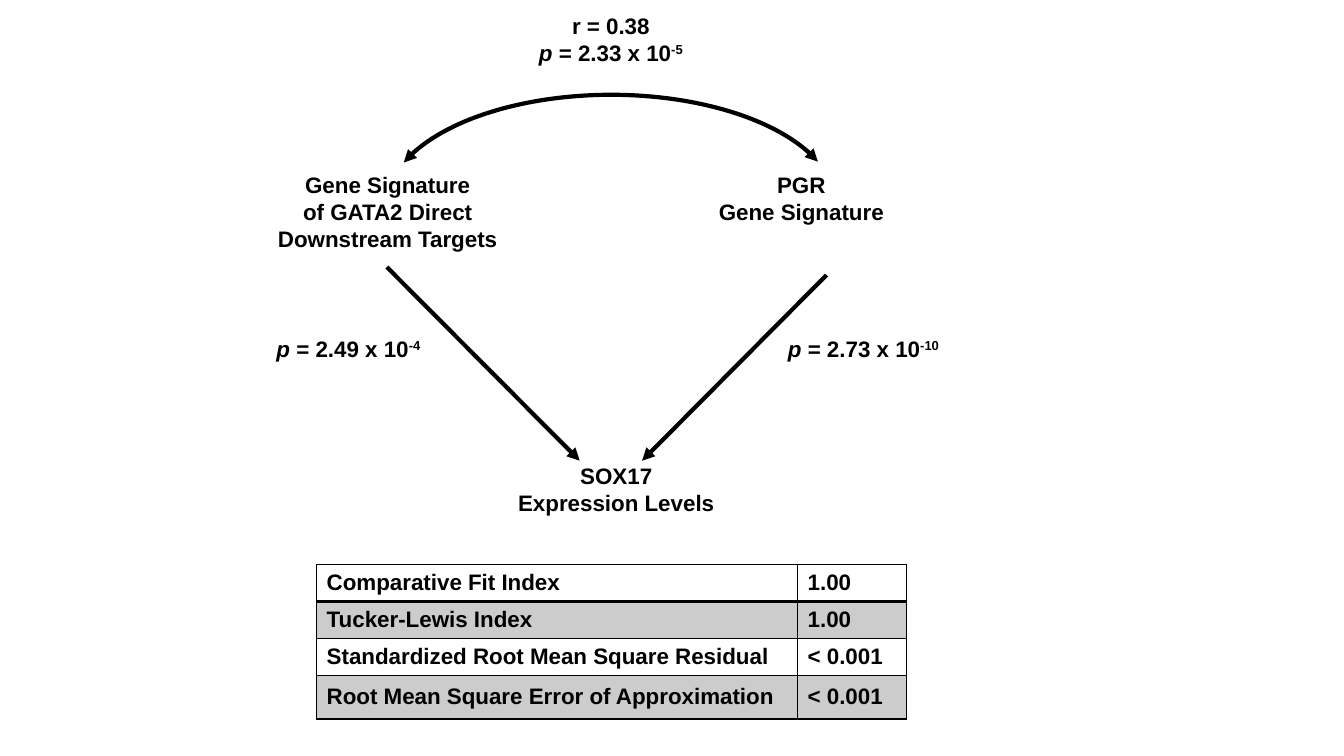
"""Build the slide of the path model linking GATA2, PGR and SOX17."""
from dataclasses import dataclass

from pptx import Presentation
from pptx import util as u
from pptx.dml.color import RGBColor
from pptx.enum import shapes, text
from pptx.oxml.ns import qn
from lxml import etree

COLOURS = {"ink": "000000", "paper": "FFFFFF"}
TEXT_SIZE = 16
ARROW_WIDTH = 3
ROW_HEIGHT, LAST_ROW_HEIGHT = 0.93, 1.1
COLUMN_WIDTHS = (12.12, 2.74)
SHADE_ALPHA = 20
ADJUSTMENT_PER_DEGREE = 0.6


@dataclass(frozen=True)
class Part:
    """A stretch of text with one format."""
    wording: str
    italic: bool = False
    raised: bool = False


@dataclass(frozen=True)
class Label:
    """A centred text block; lengths in centimetres."""
    left: float
    top: float
    width: float
    height: float
    lines: tuple


@dataclass(frozen=True)
class Effect:
    """A straight arrow from a predictor to the outcome."""
    start: tuple[float, float]
    end: tuple[float, float]


def plain(*lines: str) -> tuple:
    """Return lines that each hold one plain part."""
    return tuple((Part(line),) for line in lines)


def p_value(factor: str, exponent: str) -> tuple:
    """Return the parts of a p-value in scientific notation."""
    return (Part("p", italic=True), Part(f" = {factor} x 10"), Part(exponent, raised=True))


LABELS = (
    Label(17.78, 4.19, 4.83, 1.63, plain("PGR", "Gene Signature")),
    Label(5.87, 4.19, 7.8, 2.31,
          plain("Gene Signature", "of GATA2 Direct", "Downstream Targets")),
    Label(12.29, 11.53, 6.48, 1.63, plain("SOX17", "Expression Levels")),
    Label(12.98, 0.18, 4.83, 1.63, plain("r = 0.38") + (p_value("2.33", "-5"),)),
    Label(19.41, 8.31, 4.7, 0.94, (p_value("2.73", "-10"),)),
    Label(6.43, 8.31, 4.7, 0.94, (p_value("2.49", "-4"),)),
)
EFFECTS = (
    Effect((9.75, 6.73), (14.61, 11.61)),
    Effect((20.83, 6.93), (16.18, 11.61)),
)
FIT_INDICES = (
    ("Comparative Fit Index", "1.00"),
    ("Tucker-Lewis Index", "1.00"),
    ("Standardized Root Mean Square Residual", "< 0.001"),
    ("Root Mean Square Error of Approximation", "< 0.001"),
)


def colour(name: str) -> RGBColor:
    """Return a named colour."""
    return RGBColor.from_string(COLOURS[name])


def write(paragraph, wording: str, *, italic: bool = False, raised: bool = False) -> None:
    """Add a formatted run to a paragraph."""
    run = paragraph.add_run()
    run.text = wording
    run.font.name = "Arial"
    run.font.size = u.Pt(TEXT_SIZE)
    run.font.bold = True
    run.font.italic = italic
    run.font.color.rgb = colour("ink")
    if raised:
        run.font._element.set("baseline", "30000")


def draw_label(slide, label: Label) -> None:
    """Draw a text block on a paper-coloured ground."""
    box = slide.shapes.add_textbox(u.Cm(label.left), u.Cm(label.top),
                                   u.Cm(label.width), u.Cm(label.height))
    box.fill.solid()
    box.fill.fore_color.rgb = colour("paper")
    frame = box.text_frame
    frame.word_wrap = True
    frame.auto_size = text.MSO_AUTO_SIZE.SHAPE_TO_FIT_TEXT
    for number, line in enumerate(label.lines):
        paragraph = frame.add_paragraph() if number else frame.paragraphs[0]
        paragraph.alignment = text.PP_ALIGN.CENTER
        for part in line:
            write(paragraph, part.wording, italic=part.italic, raised=part.raised)


def style_arrow(line, *ends: str) -> None:
    """Format a line and put triangles on the given ends."""
    line.color.rgb = colour("ink")
    line.width = u.Pt(ARROW_WIDTH)
    for end in ends:
        etree.SubElement(line._get_or_add_ln(), qn(f"a:{end}"), type="triangle")


def draw_effect(slide, effect: Effect) -> None:
    """Draw a straight arrow."""
    arrow = slide.shapes.add_connector(shapes.MSO_CONNECTOR.STRAIGHT,
                                       *map(u.Cm, effect.start + effect.end))
    style_arrow(arrow.line, "tailEnd")
    etree.SubElement(arrow._element.spPr, qn("a:effectLst"))


def draw_correlation(slide) -> None:
    """Draw the double-headed arc between the two signatures."""
    arc = slide.shapes.add_shape(shapes.MSO_SHAPE.ARC, u.Cm(9.73), u.Cm(2.39),
                                 u.Cm(11.35), u.Cm(5.59))
    for number, degrees in enumerate((191.75, 347.97)):
        arc.adjustments[number] = degrees * ADJUSTMENT_PER_DEGREE
    arc.fill.background()
    arc.shadow.inherit = False
    style_arrow(arc.line, "headEnd", "tailEnd")


def add_border(cell, side: str, points: float) -> None:
    """Add a solid border to one side of a cell."""
    border = etree.SubElement(cell._tc.get_or_add_tcPr(), qn(f"a:ln{side}"),
                              w=str(u.Pt(points)))
    fill = etree.SubElement(border, qn("a:solidFill"))
    etree.SubElement(fill, qn("a:srgbClr"), val=COLOURS["ink"])


def shade(cell) -> None:
    """Fill a cell with translucent ink."""
    cell.fill.solid()
    cell.fill.fore_color.rgb = colour("ink")
    ink = cell._tc.tcPr.find(f"{qn('a:solidFill')}/{qn('a:srgbClr')}")
    etree.SubElement(ink, qn("a:alpha"), val=str(SHADE_ALPHA * 1000))


def draw_fit_table(slide) -> None:
    """Draw the table of model fit indices."""
    heights = [ROW_HEIGHT] * (len(FIT_INDICES) - 1) + [LAST_ROW_HEIGHT]
    table = slide.shapes.add_table(len(FIT_INDICES), len(COLUMN_WIDTHS), u.Cm(7.98), u.Cm(14.22),
                                   u.Cm(sum(COLUMN_WIDTHS)), u.Cm(sum(heights))).table
    table.first_row = table.horz_banding = False
    for column, width in zip(table.columns, COLUMN_WIDTHS):
        column.width = u.Cm(width)
    for number, (row, height, entries) in enumerate(zip(table.rows, heights, FIT_INDICES)):
        row.height = u.Cm(height)
        widths = {"L": 1, "R": 1, "T": 2 if number == 1 else 1, "B": 2 if number == 0 else 1}
        for cell, entry in zip(row.cells, entries):
            cell.vertical_anchor = text.MSO_ANCHOR.MIDDLE
            write(cell.text_frame.paragraphs[0], entry)
            for side, points in widths.items():
                add_border(cell, side, points)
            if number % 2:
                shade(cell)
            else:
                cell.fill.background()


def main() -> None:
    """Build and save the slide."""
    deck = Presentation()
    deck.slide_width, deck.slide_height = u.Cm(33.87), u.Cm(19.05)
    slide = deck.slides.add_slide(deck.slide_layouts.get_by_name("Blank"))
    for label in LABELS:
        draw_label(slide, label)
    draw_fit_table(slide)
    for effect in EFFECTS:
        draw_effect(slide, effect)
    draw_correlation(slide)
    deck.save("out.pptx")


if __name__ == "__main__":
    main()
